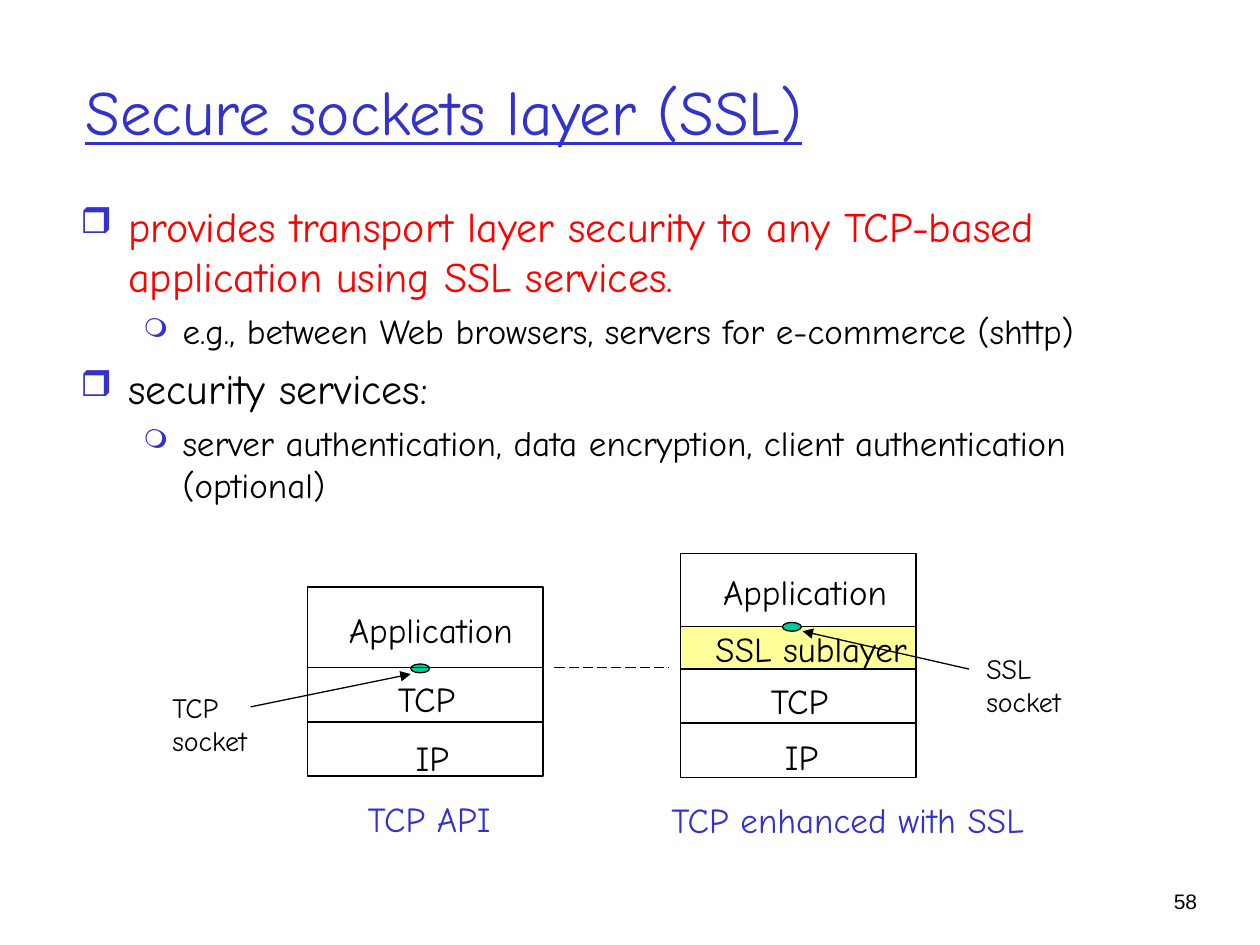
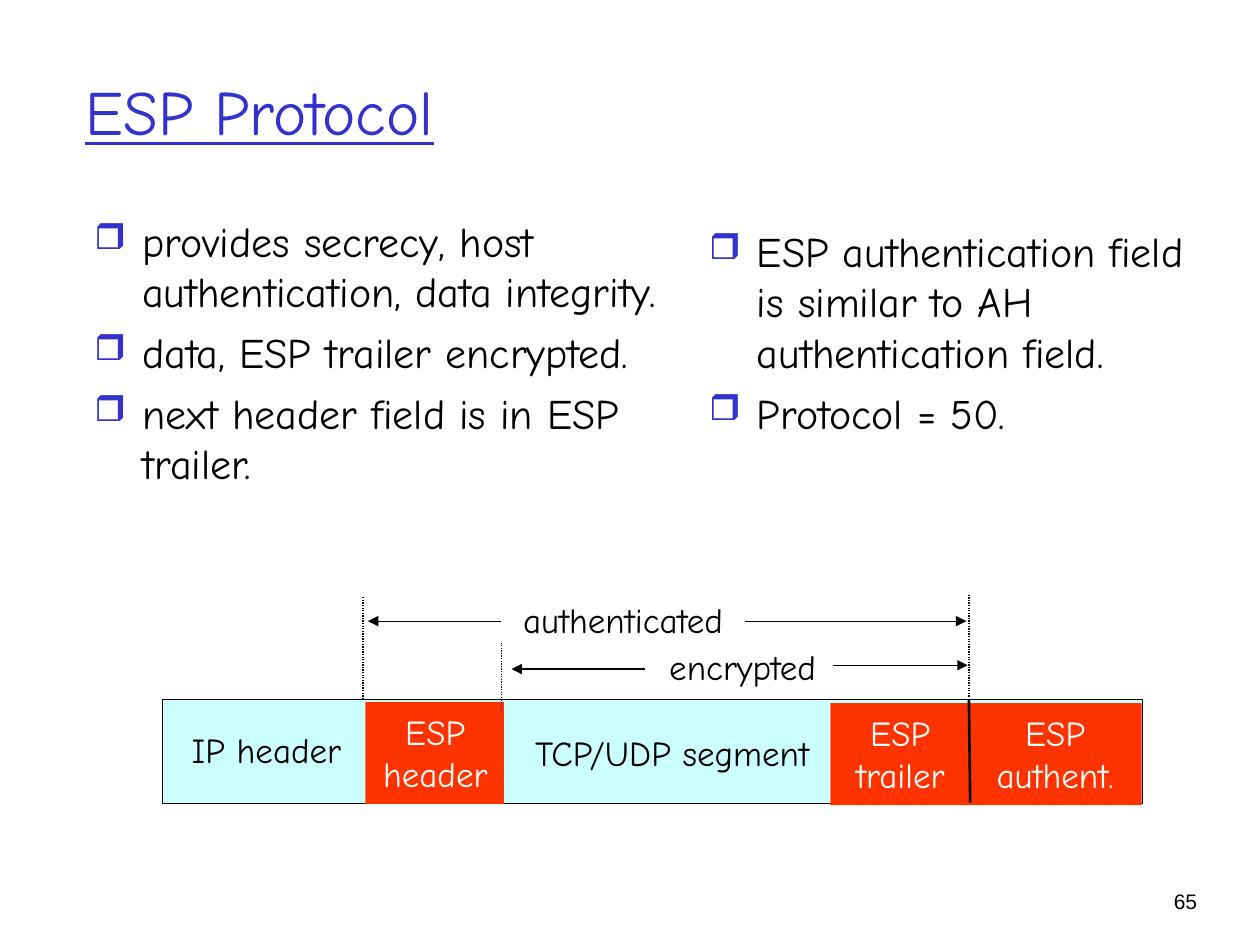
from dataclasses import dataclass
from typing import Optional

from lxml.etree import SubElement
from pptx import Presentation
from pptx.dml.color import RGBColor
from pptx.enum.dml import MSO_LINE
from pptx.enum.shapes import MSO_CONNECTOR, MSO_SHAPE
from pptx.enum.text import MSO_ANCHOR, MSO_AUTO_SIZE, PP_ALIGN
from pptx.oxml.ns import qn
from pptx.util import Inches, Pt

BLACK = RGBColor(0x00, 0x00, 0x00)
WHITE = RGBColor(0xFF, 0xFF, 0xFF)
BLUE = RGBColor(0x33, 0x33, 0xCC)
RED = RGBColor(0xFF, 0x00, 0x00)
GREEN = RGBColor(0x00, 0xCC, 0x99)
YELLOW = RGBColor(0xFF, 0xFF, 0x99)
CYAN = RGBColor(0xCC, 0xFF, 0xFF)
ORANGE = RGBColor(0xFF, 0x33, 0x00)
BODY_FONT = "Comic Neue"
NUMBER_FONT = "Arial"


@dataclass
class Label:
    text: str
    left: float
    top: float
    width: float
    height: float = 0.44
    size: int = 20
    color: RGBColor = BLACK
    font: str = BODY_FONT
    align: PP_ALIGN = PP_ALIGN.LEFT
    wrap: bool = False


@dataclass
class Box:
    left: float
    top: float
    width: float
    height: float
    fill: Optional[RGBColor] = None
    outlined: bool = True
    preset: MSO_SHAPE = MSO_SHAPE.RECTANGLE


@dataclass
class Line:
    start: tuple[float, float]
    end: tuple[float, float]
    arrow: bool = False
    dash: Optional[MSO_LINE] = None
    weight: float = 0.75


@dataclass
class Bullet:
    text: str
    level: int = 0
    color: RGBColor = BLACK


@dataclass
class BulletStyle:
    character: str
    percent: int
    margin: float
    hanging: float
    size: int
    space_before: int


@dataclass
class Layer:
    height: float
    label: Label
    fill: Optional[RGBColor] = None


BULLET_STYLES = [
    BulletStyle("❒", 85, 0.38, 0.38, 24, 6),
    BulletStyle("❍", 75, 0.81, 0.31, 20, 5),
]


def format_runs(paragraph, size: int, color: RGBColor, font: str = BODY_FONT) -> None:
    for run in paragraph.runs:
        run.font.size = Pt(size)
        run.font.name = font
        run.font.color.rgb = color


def add_text_box(slide, left: float, top: float, width: float, height: float):
    text_frame = slide.shapes.add_textbox(
        Inches(left), Inches(top), Inches(width), Inches(height)).text_frame
    text_frame.word_wrap = True
    return text_frame


def add_label(slide, label: Label) -> None:
    text_frame = add_text_box(slide, label.left, label.top, label.width, label.height)
    text_frame.word_wrap = label.wrap
    text_frame.auto_size = MSO_AUTO_SIZE.SHAPE_TO_FIT_TEXT
    text_frame.text = label.text
    for paragraph in text_frame.paragraphs:
        paragraph.alignment = label.align
        format_runs(paragraph, label.size, label.color, label.font)


def add_box(slide, box: Box) -> None:
    shape = slide.shapes.add_shape(
        box.preset, Inches(box.left), Inches(box.top), Inches(box.width), Inches(box.height))
    shape.shadow.inherit = False
    if box.fill is None:
        shape.fill.background()
    else:
        shape.fill.solid()
        shape.fill.fore_color.rgb = box.fill
    if box.outlined:
        shape.line.color.rgb = BLACK
        shape.line.width = Pt(0.75)
    else:
        shape.line.fill.background()


def add_line(slide, line: Line) -> None:
    connector = slide.shapes.add_connector(
        MSO_CONNECTOR.STRAIGHT, *(Inches(value) for value in line.start + line.end))
    connector.line.color.rgb = BLACK
    connector.line.width = Pt(line.weight)
    if line.dash is not None:
        connector.line.dash_style = line.dash
    properties = connector.element.spPr
    if line.arrow:
        SubElement(properties.find(qn("a:ln")), qn("a:tailEnd"), type="triangle")
    SubElement(properties, qn("a:effectLst"))


def add_bullets(slide, left: float, top: float, width: float, height: float,
                bullets: list[Bullet]) -> None:
    text_frame = add_text_box(slide, left, top, width, height)
    for index, bullet in enumerate(bullets):
        style = BULLET_STYLES[bullet.level]
        paragraph = text_frame.add_paragraph() if index else text_frame.paragraphs[0]
        paragraph.text = bullet.text
        paragraph.level = bullet.level
        properties = paragraph._p.get_or_add_pPr()
        properties.set("marL", str(Inches(style.margin)))
        properties.set("indent", str(-Inches(style.hanging)))
        bullet_color = SubElement(properties, qn("a:buClr"))
        SubElement(bullet_color, qn("a:srgbClr"), val=str(BLUE))
        SubElement(properties, qn("a:buSzPct"), val=str(style.percent * 1000))
        SubElement(properties, qn("a:buChar"), char=style.character)
        if index:
            paragraph.space_before = Pt(style.space_before)
        format_runs(paragraph, style.size, bullet.color)


def add_titled_slide(presentation, title: str, number: int):
    slide = presentation.slides.add_slide(presentation.slide_layouts[6])
    text_frame = add_text_box(slide, 0.58, 0.25, 8.5, 1.25)
    text_frame.vertical_anchor = MSO_ANCHOR.MIDDLE
    text_frame.text = title
    paragraph = text_frame.paragraphs[0]
    format_runs(paragraph, 36, BLUE)
    paragraph.runs[0].font.underline = True
    add_label(slide, Label(str(number), 8.8, 7, 0.8, 0.32, 12,
                           font=NUMBER_FONT, align=PP_ALIGN.RIGHT, wrap=True))
    return slide


def add_stack(slide, left: float, top: float, layers: list[Layer]) -> None:
    """Pile protocol layers downwards, each starting where the last one ends."""
    for layer in layers:
        add_box(slide, Box(left, top, 1.87, layer.height, layer.fill))
        add_label(slide, layer.label)
        top += layer.height


def add_socket(slide, left: float, top: float) -> None:
    add_box(slide, Box(left, top, 0.15, 0.07, GREEN, preset=MSO_SHAPE.OVAL))


def build_ssl_slide(presentation) -> None:
    slide = add_titled_slide(presentation, "Secure sockets layer (SSL)", 58)
    add_bullets(slide, 0.54, 1.54, 9.22, 5.08, [
        Bullet("provides transport layer security to any TCP-based application "
               "using SSL services.", color=RED),
        Bullet("e.g., between Web browsers, servers for e-commerce (shttp)", 1),
        Bullet("security services:"),
        Bullet("server authentication, data encryption, client authentication (optional)", 1),
    ])

    add_socket(slide, 3.26, 5.27)
    add_stack(slide, 2.44, 4.66, [
        Layer(0.64, Label("Application", 2.67, 4.78, 1.5)),
        Layer(0.43, Label("TCP", 3.06, 5.33, 0.7)),
        Layer(0.43, Label("IP", 3.2, 5.8, 0.52)),
    ])
    add_stack(slide, 5.4, 4.39, [
        Layer(0.58, Label("Application", 5.64, 4.48, 1.5)),
        Layer(0.34, Label("SSL sublayer", 5.58, 4.93, 1.74), YELLOW),
        Layer(0.43, Label("TCP", 6.02, 5.34, 0.7)),
        Layer(0.43, Label("IP", 6.13, 5.79, 0.52)),
    ])
    add_socket(slide, 6.21, 4.94)

    for label in (
        Label("TCP\nsocket", 1.27, 5.43, 1.14, 0.64, 16, wrap=True),
        Label("SSL\nsocket", 7.73, 5.12, 0.82, 0.64, 16),
        Label("TCP API", 2.82, 6.28, 1.22, color=BLUE),
        Label("TCP enhanced with SSL", 5.23, 6.29, 3.03, color=BLUE),
    ):
        add_label(slide, label)
    for line in (
        Line((1.99, 5.61), (3.26, 5.35), arrow=True),
        Line((7.69, 5.31), (6.37, 5.01), arrow=True),
        Line((4.4, 5.3), (5.31, 5.3), dash=MSO_LINE.LONG_DASH),
    ):
        add_line(slide, line)


def build_esp_slide(presentation) -> None:
    slide = add_titled_slide(presentation, "ESP Protocol", 65)
    add_bullets(slide, 0.65, 1.66, 4.82, 2.71, [
        Bullet("provides secrecy, host authentication, data integrity."),
        Bullet("data, ESP trailer encrypted."),
        Bullet("next header field is in ESP trailer."),
    ])
    add_bullets(slide, 5.53, 1.74, 4.17, 2.69, [
        Bullet("ESP authentication field is similar to AH authentication field."),
        Bullet("Protocol = 50."),
    ])

    for packet_part in (
        Box(1.29, 5.55, 7.78, 0.83, CYAN),
        Box(2.9, 5.57, 1.1, 0.81, ORANGE, outlined=False),
        Box(6.59, 5.58, 1.1, 0.81, ORANGE, outlined=False),
        Box(7.67, 5.58, 1.39, 0.81, ORANGE, outlined=False),
    ):
        add_box(slide, packet_part)
    for text, left, top, width in (
        ("IP header", 1.42, 5.73, 1.39),
        ("TCP/UDP segment", 4.13, 5.76, 2.41),
        ("encrypted", 5.21, 5.07, 1.37),
        ("authenticated", 4.05, 4.7, 1.79),
    ):
        add_label(slide, Label(text, left, top, width, align=PP_ALIGN.CENTER))
    for field, left, top, width in (
        ("header", 2.94, 5.59, 1.03),
        ("trailer", 6.69, 5.6, 0.91),
        ("authent.", 7.71, 5.6, 1.33),
    ):
        add_label(slide, Label(f"ESP\n{field}", left, top, width, 0.77,
                               color=WHITE, align=PP_ALIGN.CENTER))

    add_line(slide, Line((7.69, 5.55), (7.7, 6.37), weight=1.5))
    for start, end, height in (
        (6.61, 7.68, 5.28),
        (5.12, 4.06, 5.31),
        (3.98, 2.92, 4.93),
        (5.91, 7.67, 4.93),
    ):
        add_line(slide, Line((start, height), (end, height), arrow=True))
    for left, top, bottom in ((2.88, 4.74, 5.55), (7.69, 4.72, 5.53), (3.98, 5.1, 5.64)):
        add_line(slide, Line((left, top), (left, bottom), dash=MSO_LINE.ROUND_DOT))


def main() -> None:
    presentation = Presentation()
    presentation.slide_width = Inches(10)
    presentation.slide_height = Inches(7.5)
    build_ssl_slide(presentation)
    build_esp_slide(presentation)
    presentation.save("out.pptx")


if __name__ == "__main__":
    main()
